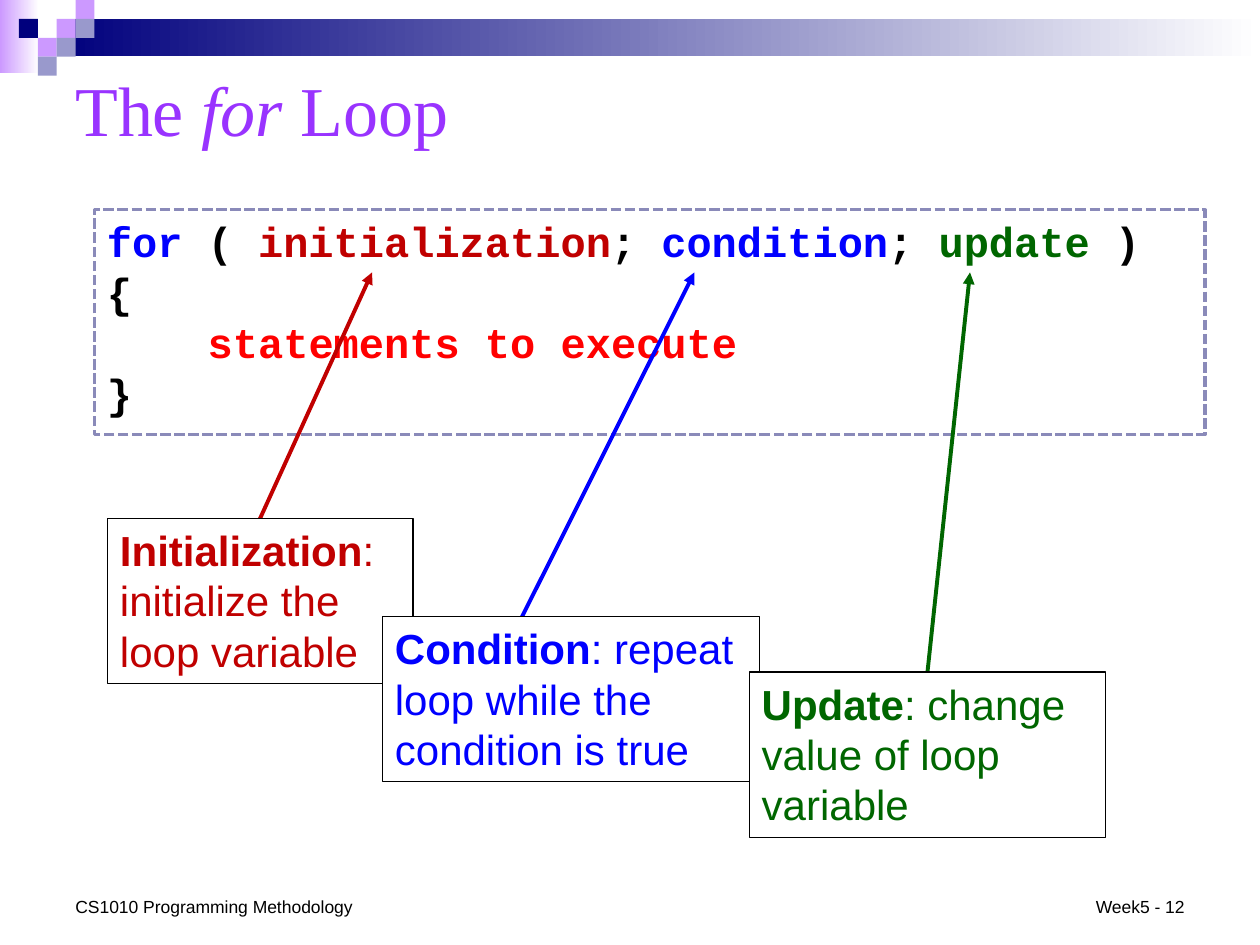
"""Build the slide that explains the parts of a for loop."""
import pptx
import pptx.util
import pptx.dml.color
import pptx.enum.dml
import pptx.enum.shapes
import pptx.enum.text
import lxml.etree

Pt = pptx.util.Pt
ALIGN = pptx.enum.text.PP_ALIGN
ANCHOR = pptx.enum.text.MSO_ANCHOR
COLORS = {
    "white": "FFFFFF", "black": "000000", "navy": "00007D", "lilac": "CC99FF",
    "steel": "9999CC", "border": "8A8AB9", "title": "9933FF", "red": "FF0000",
    "initialization": "C00000", "condition": "0000FF", "update": "006600",
}
RGB = {name: pptx.dml.color.RGBColor.from_string(value) for name, value in COLORS.items()}

presentation = pptx.Presentation()
presentation.slide_width = Pt(720)
presentation.slide_height = Pt(540)
slide = presentation.slides.add_slide(presentation.slide_layouts[6])


def add_box(left, top, width, height, fill, line=None, line_width=0.75):
    shape = slide.shapes.add_shape(
        pptx.enum.shapes.MSO_SHAPE.RECTANGLE, Pt(left), Pt(top), Pt(width), Pt(height))
    shape.shadow.inherit = False
    shape.fill.solid()
    shape.fill.fore_color.rgb = RGB[fill]
    if line:
        shape.line.color.rgb = RGB[line]
        shape.line.width = Pt(line_width)
    else:
        shape.line.fill.background()
    return shape


def write_text(shape, lines, font, size, anchor=ANCHOR.TOP, align=ALIGN.LEFT, wrap=True):
    frame = shape.text_frame
    frame.word_wrap = wrap
    frame.vertical_anchor = anchor
    for index, runs in enumerate(lines):
        paragraph = frame.paragraphs[0] if index == 0 else frame.add_paragraph()
        paragraph.alignment = align
        for text, color, bold, italic in runs:
            run = paragraph.add_run()
            run.text = text
            run.font.name = font
            run.font.size = Pt(size)
            run.font.color.rgb = RGB[color]
            run.font.bold = bold
            run.font.italic = italic


for left, top, width, height, start in [
    (0, 0, 22.3, 41.8, "lilac"),
    (32.4, 10.8, 687.6, 21.4, "navy"),
]:
    band = add_box(left, top, width, height, start)
    band.fill.gradient()
    band.fill.gradient_angle = 0
    for stop, color, position in zip(band.fill.gradient_stops, (start, "white"), (0, 1)):
        stop.color.rgb = RGB[color]
        stop.position = position

TILE = 10.8
for column, row, color in [
    (3, 1, "lilac"), (4, 0, "lilac"), (4, 1, "steel"), (2, 2, "lilac"),
    (1, 1, "navy"), (3, 2, "steel"), (2, 3, "steel"),
]:
    add_box(column * TILE, row * TILE, TILE, TILE, color)

code_box = add_box(54, 119.8, 634.5, 128.5, "white", "border", 2)
code_box.line.dash_style = pptx.enum.dml.MSO_LINE.SQUARE_DOT
code_lines = [
    [("for", "condition"), (" ( ", "black"), ("initialization", "initialization"),
     ("; ", "black"), ("condition", "condition"), ("; ", "black"),
     ("update", "update"), (" )", "black")],
    [("{", "black")],
    [("    ", "red"), ("statements to execute", "red")],
    [("}", "black")],
]
write_text(code_box, [[(text, color, True, False) for text, color in line]
                      for line in code_lines], "Courier New", 24)

ARROW_TOP = 155.7
for part, description, left, top, width, start, end in [
    ("initialization", ": initialize the loop variable", 61.5, 296.2, 174.5, (147.6, 298.5), 212.6),
    ("condition", ": repeat loop while the condition is true", 218.6, 352.3, 215.6, (293.8, 361.5), 396.8),
    ("update", ": change value of loop variable", 428.2, 384, 203.7, (530, 384), 554.3),
]:
    arrow = slide.shapes.add_connector(
        pptx.enum.shapes.MSO_CONNECTOR.STRAIGHT,
        Pt(start[0]), Pt(start[1]), Pt(end), Pt(ARROW_TOP))
    arrow.line.color.rgb = RGB[part]
    arrow.line.width = Pt(2.25)
    namespace = pptx.oxml.ns.qn("a:tailEnd")
    lxml.etree.SubElement(arrow.line._get_or_add_ln(), namespace, type="triangle")
    lxml.etree.SubElement(arrow._element.spPr, pptx.oxml.ns.qn("a:effectLst"))
    note = add_box(left, top, width, 94.5, "white", "black")
    write_text(note, [[(part.capitalize(), part, True, False),
                       (description, part, False, False)]], "Arial", 24)

for left, top, width, height, runs, font, size, anchor, align, wrap in [
    (36, 508.3, 174.5, 19.4, [("CS1010 Programming Methodology", "black", False, False)],
     "Arial", 10, ANCHOR.TOP, ALIGN.LEFT, True),
    (617.8, 508.3, 66.2, 19.4, [("Week5 - 12", "black", False, False)],
     "Arial", 10, ANCHOR.BOTTOM, ALIGN.RIGHT, False),
    (36, 30.2, 648, 63.4, [("The ", "title", False, False), ("for", "title", False, True),
                           (" Loop", "title", False, False)],
     "Times New Roman", 40, ANCHOR.MIDDLE, ALIGN.LEFT, True),
]:
    text_box = slide.shapes.add_textbox(Pt(left), Pt(top), Pt(width), Pt(height))
    write_text(text_box, [runs], font, size, anchor, align, wrap)

presentation.save("out.pptx")
